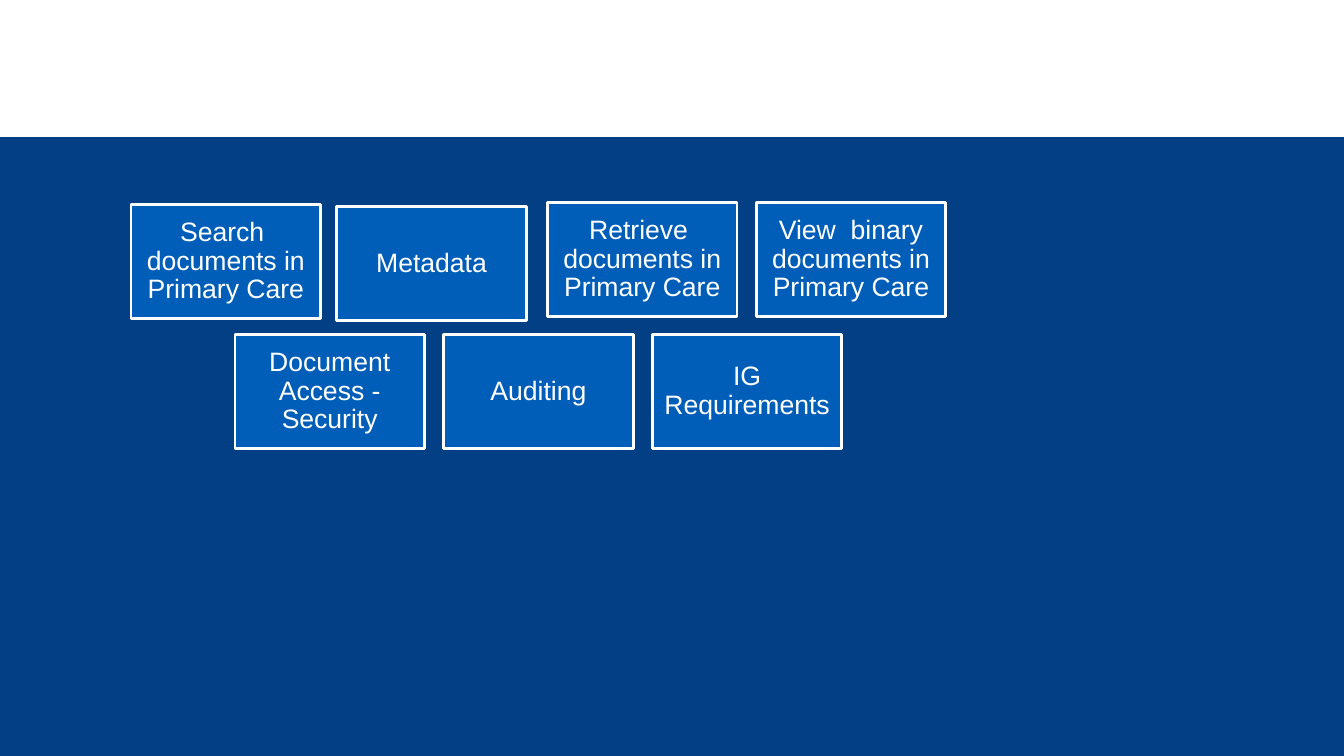
from dataclasses import dataclass

from pptx import Presentation
from pptx.dml.color import RGBColor
from pptx.enum.shapes import MSO_SHAPE
from pptx.enum.text import MSO_ANCHOR, PP_ALIGN
from pptx.util import Inches, Pt


@dataclass(frozen=True)
class Theme:
    navy: RGBColor = RGBColor(0x03, 0x3F, 0x85)
    blue: RGBColor = RGBColor(0x00, 0x5E, 0xB8)
    white: RGBColor = RGBColor(0xFF, 0xFF, 0xFF)
    font: str = "Arial"
    body: Pt = Pt(19)
    outline: Pt = Pt(2)


class SlideBuilder:
    def __init__(self, slide, theme):
        self.s = slide
        self.theme = theme

    def rect(self, left, top, width, height, fill):
        sp = self.s.shapes.add_shape(
            MSO_SHAPE.RECTANGLE,
            Inches(left), Inches(top), Inches(width), Inches(height))
        sp.shadow.inherit = False
        sp.fill.solid()
        sp.fill.fore_color.rgb = fill
        sp.line.fill.background()
        return sp

    def card(self, left, top, text):
        t = self.theme
        sp = self.rect(left, top, CARD_W, CARD_H, t.blue)
        sp.line.color.rgb = t.white
        sp.line.width = t.outline
        tf = sp.text_frame
        tf.word_wrap = True
        tf.vertical_anchor = MSO_ANCHOR.MIDDLE
        tf.margin_left = tf.margin_right = Inches(0.08)
        tf.margin_top = tf.margin_bottom = Inches(0.08)
        p = tf.paragraphs[0]
        p.text = text
        p.alignment = PP_ALIGN.CENTER
        p.line_spacing = 0.9
        p.font.name = t.font
        p.font.size = t.body
        p.font.color.rgb = t.white


SLIDE_W, SLIDE_H = 13.33, 7.5
BAND_TOP = 1.36
CARD_W, CARD_H = 1.88, 1.13
PITCH = 2.07

# The upper row is placed by hand, the lower row is evenly spaced
UPPER_ROW = [
    (3.34, 2.05, "Metadata"),
    (1.3, 2.03, "Search  documents in Primary Care"),
    (5.43, 2.01, "Retrieve  documents in Primary Care"),
    (7.5, 2.01, "View  binary documents in Primary Care"),
]
LOWER_LEFT, LOWER_TOP = 2.33, 3.32
LOWER_ROW = ["Document Access - Security", "Auditing", "IG Requirements"]


def main():
    prs = Presentation()
    prs.slide_width, prs.slide_height = Inches(SLIDE_W), Inches(SLIDE_H)
    theme = Theme()
    builder = SlideBuilder(prs.slides.add_slide(prs.slide_layouts[6]), theme)

    # Navy background band
    builder.rect(0, BAND_TOP, SLIDE_W, SLIDE_H - BAND_TOP, theme.navy)

    # Topic cards
    for left, top, text in UPPER_ROW:
        builder.card(left, top, text)
    for i, text in enumerate(LOWER_ROW):
        builder.card(LOWER_LEFT + i * PITCH, LOWER_TOP, text)

    prs.save("out.pptx")


if __name__ == "__main__":
    main()
